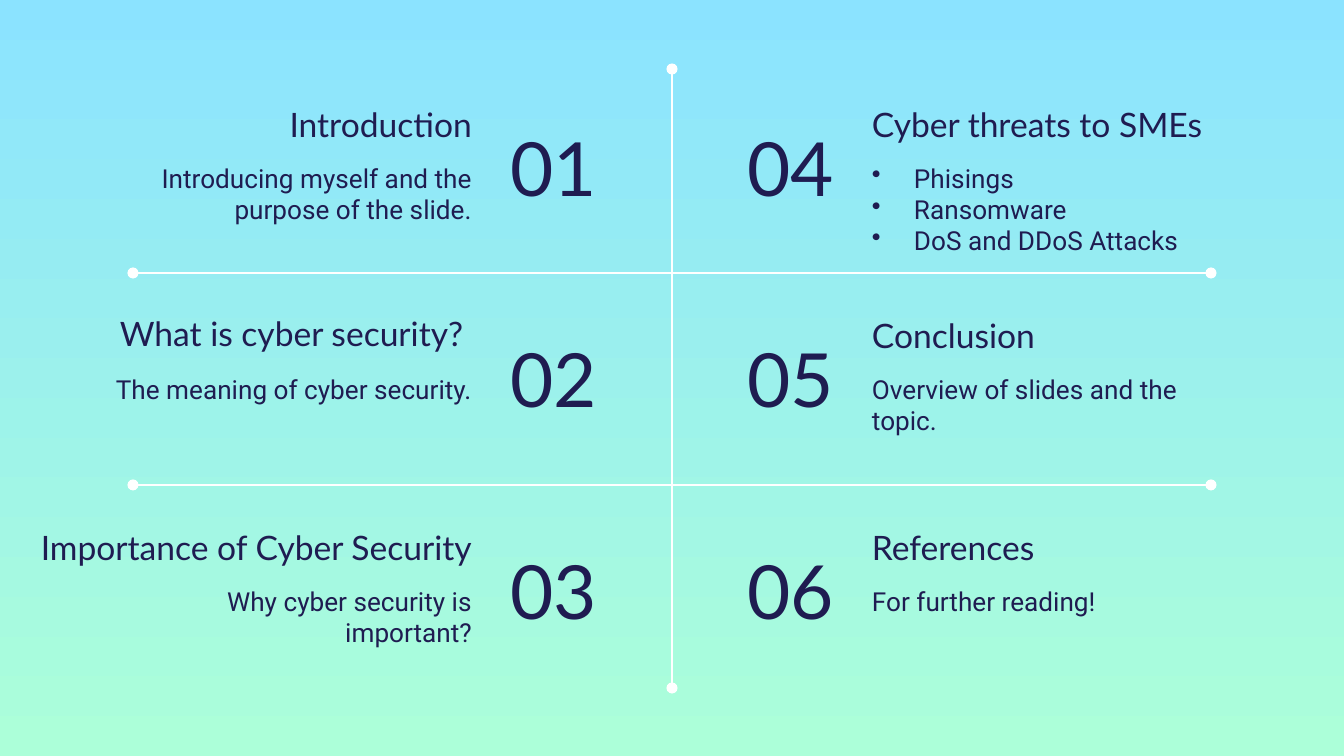
from lxml import etree
from pptx import Presentation
from pptx.dml.color import RGBColor
from pptx.enum.shapes import MSO_CONNECTOR
from pptx.enum.text import MSO_ANCHOR, PP_ALIGN
from pptx.oxml.ns import qn
from pptx.util import Pt

LEFT, RIGHT = PP_ALIGN.LEFT, PP_ALIGN.RIGHT
TOP, MIDDLE, BOTTOM = MSO_ANCHOR.TOP, MSO_ANCHOR.MIDDLE, MSO_ANCHOR.BOTTOM
COLORS = {"ink": "1F1C51", "line": "FFFFFF", "sky": "8BE3FF", "mint": "ACFFD9"}
HEAD, BODY = "Lato", "Roboto"

# (heading, body lines, heading width, heading lift), top to bottom
TOPICS_LEFT = [
    ("Introduction", ["Introducing myself and the purpose of the slide."], 400, 0),
    ("What is cyber security? ", ["The meaning of cyber security."], 400, 2),
    ("Importance of Cyber Security", ["Why cyber security is important?"], 470, 0),
]
TOPICS_RIGHT = [
    ("Cyber threats to SMEs", ["Phisings", "Ransomware", "DoS and DDoS Attacks"], 400, 0),
    ("Conclusion", ["Overview of slides and the topic."], 400, 0),
    ("References", ["For further reading!"], 400, 0),
]

WIDTH, HEIGHT = 1344, 756
MID = WIDTH // 2
ROWS = [0, 211, 423]
HEAD_Y, BODY_Y, NUM_Y, RULE_Y = 90, 149, 109, 62
HEAD_H, BODY_H, NUM_W, NUM_H = 67, 93, 175, 116
BODY_W, GAP = 400, 187      # GAP: centre line to the near edge of the text
PAD, INDENT = 13, 42
RULE_X, AXIS_Y = 133, (69, 688)


def px(n):
    return round(n * 914400 / 134.4)


def rgb(name):
    return RGBColor.from_string(COLORS[name])


def add_bullet(para):
    props = para._p.get_or_add_pPr()
    props.set("marL", str(px(INDENT)))
    props.set("indent", str(-px(INDENT)))
    etree.SubElement(props, qn("a:buChar")).set("char", "•")


def add_text(slide, box, lines, font, size, align, anchor):
    frame = slide.shapes.add_textbox(*map(px, box)).text_frame
    frame.word_wrap = True
    frame.vertical_anchor = anchor
    frame.margin_left = frame.margin_right = px(PAD)
    frame.margin_top = frame.margin_bottom = px(PAD)
    for i, line in enumerate(lines):
        para = frame.add_paragraph() if i else frame.paragraphs[0]
        para.alignment = align
        if len(lines) > 1:
            add_bullet(para)
        run = para.add_run()
        run.text = line
        run.font.name, run.font.size = font, Pt(size)
        run.font.color.rgb = rgb("ink")


def add_rule(slide, *ends):
    """Draw a straight line with a dot at each end."""
    rule = slide.shapes.add_connector(MSO_CONNECTOR.STRAIGHT, *map(px, ends))
    rule.line.color.rgb = rgb("line")
    rule.line.width = Pt(1.5)
    props = rule._element.spPr
    for tag in ("a:headEnd", "a:tailEnd"):
        etree.SubElement(props.find(qn("a:ln")), qn(tag)).set("type", "oval")
    etree.SubElement(props, qn("a:effectLst"))


def add_topic(slide, num, topic, row, on_left):
    title, lines, wide, lift = topic
    align = RIGHT if on_left else LEFT

    def edge(width):
        return MID - GAP - width if on_left else MID + GAP

    add_text(slide, (edge(wide), HEAD_Y + row - lift, wide, HEAD_H),
             [title], HEAD, 18, align, BOTTOM)
    add_text(slide, (edge(BODY_W), BODY_Y + row, BODY_W, BODY_H),
             lines, BODY, 14, align, TOP)
    add_text(slide, (MID - NUM_W if on_left else MID, NUM_Y + row, NUM_W, NUM_H),
             [f"{num:02}"], HEAD, 40, LEFT if on_left else RIGHT, MIDDLE)


def main():
    deck = Presentation()
    deck.slide_width, deck.slide_height = px(WIDTH), px(HEIGHT)
    slide = deck.slides.add_slide(deck.slide_layouts[6])

    fill = slide.background.fill
    fill.gradient()
    fill.gradient_angle = 270
    for stop, name in zip(fill.gradient_stops, ("sky", "mint")):
        stop.color.rgb = rgb(name)

    add_rule(slide, MID, AXIS_Y[0], MID, AXIS_Y[1])
    for row in ROWS[1:]:
        add_rule(slide, RULE_X, RULE_Y + row, WIDTH - RULE_X, RULE_Y + row)

    for i, topic in enumerate(TOPICS_LEFT + TOPICS_RIGHT):
        add_topic(slide, i + 1, topic, ROWS[i % len(ROWS)], i < len(ROWS))

    deck.save("out.pptx")


if __name__ == "__main__":
    main()
